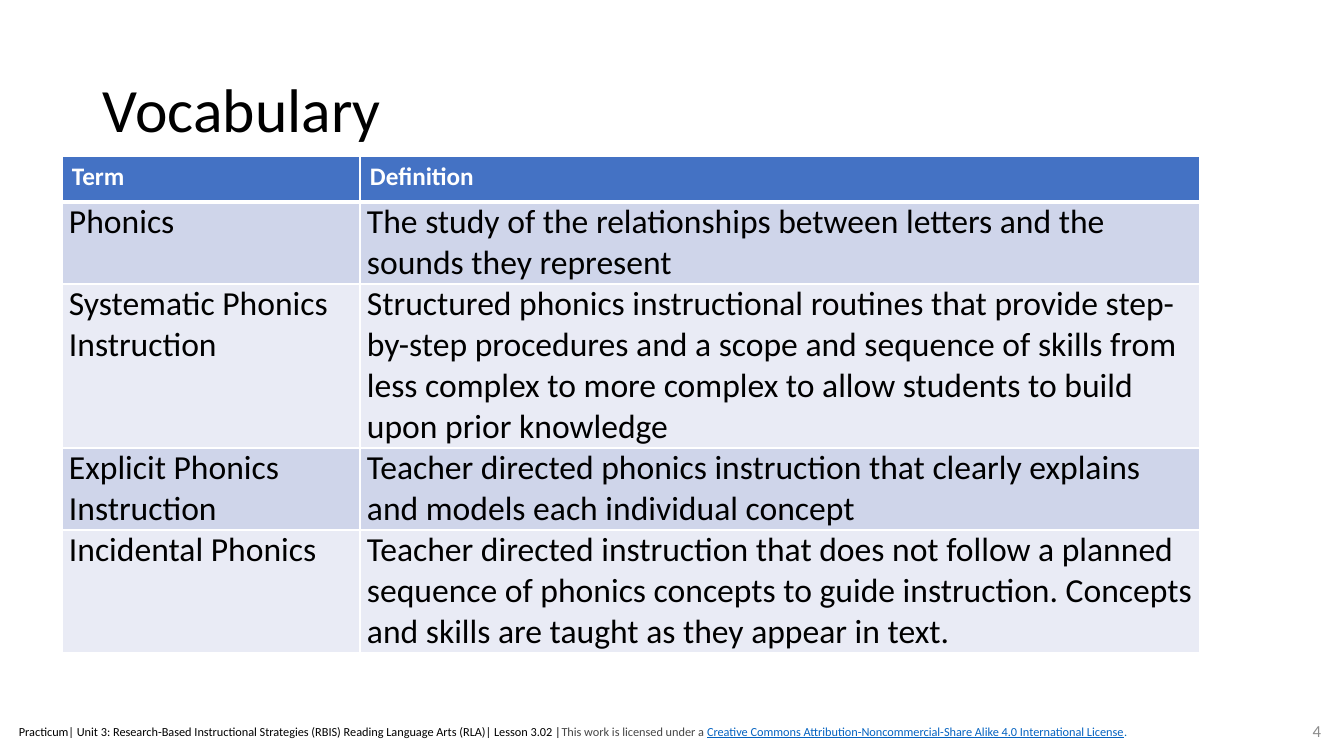
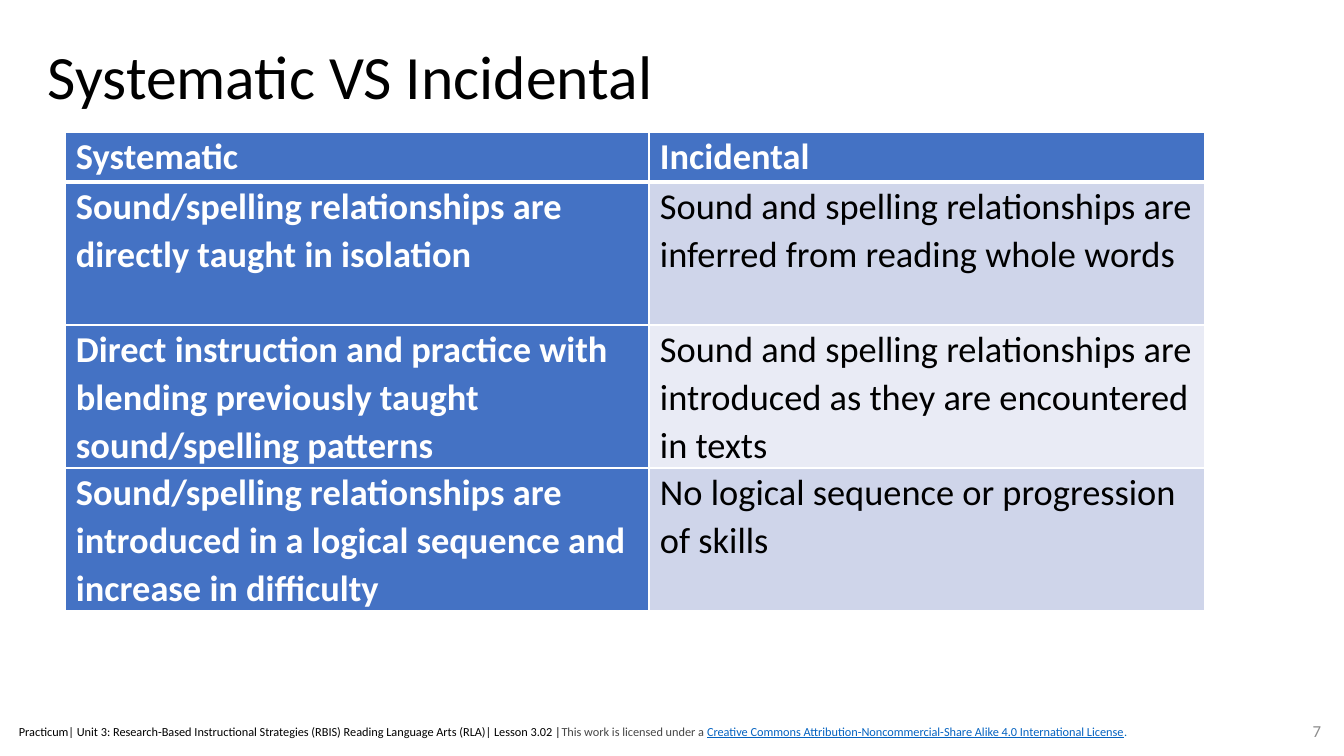
from lxml.etree import SubElement
from pptx import Presentation
from pptx.dml.color import RGBColor
from pptx.enum.text import MSO_ANCHOR as Anchor, PP_ALIGN as Align
from pptx.oxml.ns import qn
from pptx.util import Pt

PX = 9072  # EMU per pixel
POINT = 12700  # EMU per point
FONT = "Calibri"
BLACK, WHITE, BLUE, GREY = "000000", "FFFFFF", "4472C4", "8C8C8C"
BANDS = ["CFD5EA", "E9EBF5"]

# Footer shared by both slides: text, colour, underline
FOOTER = [
    ("Practicum| Unit 3: Research-Based Instructional Strategies (RBIS) "
     "Reading Language Arts (RLA)| Lesson 3.02 |", BLACK, False),
    ("This work is licensed under a ", "464646", False),
    ("Creative Commons Attribution-Noncommercial-Share Alike 4.0 "
     "International License", "0563C1", True),
    (".", "0070C0", False),
]

SLIDES = [
    {
        "title": "Vocabulary",
        "title_box": (93, 40, 1159, 146),
        "title_anchor": Anchor.MIDDLE,
        "number": "4",
        "table_at": (62, 156),
        "columns": [298, 840],
        "row_heights": [46, 82, 164, 82, 123],
        "header": {"size": 18, "margins": (10, 5), "format": {}},
        "body": {"size": 24, "margins": (7, 0),
                 "format": {"space_before": Pt(6), "space_after": Pt(6)}},
        "blue_first_column": False,
        "rows": [
            ("Term", "Definition"),
            ("Phonics",
             "The study of the relationships between letters and the sounds "
             "they represent"),
            ("Systematic Phonics Instruction",
             "Structured phonics instructional routines that provide "
             "step-by-step procedures and a scope and sequence of skills from "
             "less complex to more complex to allow students to build upon "
             "prior knowledge"),
            ("Explicit Phonics Instruction",
             "Teacher directed phonics instruction that clearly explains and "
             "models each individual concept"),
            ("Incidental Phonics",
             "Teacher directed instruction that does not follow a planned "
             "sequence of phonics concepts to guide instruction. Concepts and "
             "skills are taught as they appear in text."),
        ],
    },
    {
        "title": "Systematic VS Incidental",
        "title_box": (38, 15, 1159, 103),
        "title_anchor": Anchor.BOTTOM,
        "number": "7",
        "table_at": (65, 132),
        "columns": [584, 556],
        "row_heights": [50, 143, 143, 143],
        "header": {"size": 26, "margins": (11, 0),
                   "format": {"line_spacing": 1.07}},
        "body": {"size": 26, "margins": (11, 0),
                 "format": {"line_spacing": 1.07}},
        "blue_first_column": True,
        "rows": [
            ("Systematic", "Incidental"),
            ("Sound/spelling relationships are directly taught in isolation",
             "Sound and spelling relationships are inferred from reading "
             "whole words"),
            ("Direct instruction and practice with blending previously taught "
             "sound/spelling patterns",
             "Sound and spelling relationships are introduced as they are "
             "encountered in texts"),
            ("Sound/spelling relationships are introduced in a logical "
             "sequence and increase in difficulty",
             "No logical sequence or progression of skills"),
        ],
    },
]


def write_text(frame, runs, size, paragraph_format, bold=False):
    """Fill the first paragraph with (text, colour, underline) runs."""
    paragraph = frame.paragraphs[0]
    for name, value in paragraph_format.items():
        setattr(paragraph, name, value)
    for text, colour, underline in runs:
        run = paragraph.add_run()
        run.text = text
        font_format = {"name": FONT, "size": Pt(size), "bold": bold,
                       "underline": underline}
        for name, value in font_format.items():
            setattr(run.font, name, value)
        run.font.color.rgb = RGBColor.from_string(colour)


def add_text(slide, box, runs, size, anchor=Anchor.MIDDLE, **paragraph_format):
    shape = slide.shapes.add_textbox(*(length * PX for length in box))
    shape.text_frame.word_wrap = True
    shape.text_frame.vertical_anchor = anchor
    write_text(shape.text_frame, runs, size, paragraph_format)


presentation = Presentation()
presentation.slide_width = 1344 * PX
presentation.slide_height = 756 * PX

for content in SLIDES:
    slide = presentation.slides.add_slide(presentation.slide_layouts[6])

    # Title
    add_text(slide, content["title_box"], [(content["title"], BLACK, False)],
             44, content["title_anchor"], line_spacing=0.9)

    # Table grid
    rows, columns = content["rows"], content["columns"]
    heights = content["row_heights"]
    box = (*content["table_at"], sum(columns), sum(heights))
    table = slide.shapes.add_table(
        len(rows), len(columns), *(length * PX for length in box)).table
    table.horz_banding = False
    for column, width in zip(table.columns, columns):
        column.width = width * PX
    for row, height in zip(table.rows, heights):
        row.height = height * PX

    # Table cells
    for row_index, texts in enumerate(rows):
        is_header = row_index == 0
        style = content["header" if is_header else "body"]
        side, edge = style["margins"]
        for column_index, text in enumerate(texts):
            cell = table.cell(row_index, column_index)
            is_blue = is_header or (
                content["blue_first_column"] and column_index == 0)
            cell_format = {"margin_left": side * PX, "margin_right": side * PX,
                           "margin_top": edge * PX, "margin_bottom": edge * PX,
                           "vertical_anchor": Anchor.TOP}
            for name, value in cell_format.items():
                setattr(cell, name, value)

            # White borders, thicker around the foot of the header
            thick_side = {0: "lnB", 1: "lnT"}.get(row_index)
            properties = cell._tc.get_or_add_tcPr()
            for tag in ("lnL", "lnR", "lnT", "lnB"):
                width = 3 if tag == thick_side else 1
                line = SubElement(properties, qn(f"a:{tag}"),
                                  w=str(width * POINT))
                fill = SubElement(line, qn("a:solidFill"))
                SubElement(fill, qn("a:srgbClr"), val=WHITE)

            cell.fill.solid()
            cell.fill.fore_color.rgb = RGBColor.from_string(
                BLUE if is_blue else BANDS[(row_index - 1) % 2])
            write_text(cell.text_frame,
                       [(text, WHITE if is_blue else BLACK, False)],
                       style["size"], style["format"], bold=is_blue)

    # Slide number and footer
    add_text(slide, (1029, 711, 302, 40), [(content["number"], GREY, False)],
             12, alignment=Align.RIGHT)
    add_text(slide, (9, 715, 1252, 33), FOOTER, 8.8)

presentation.save("out.pptx")
